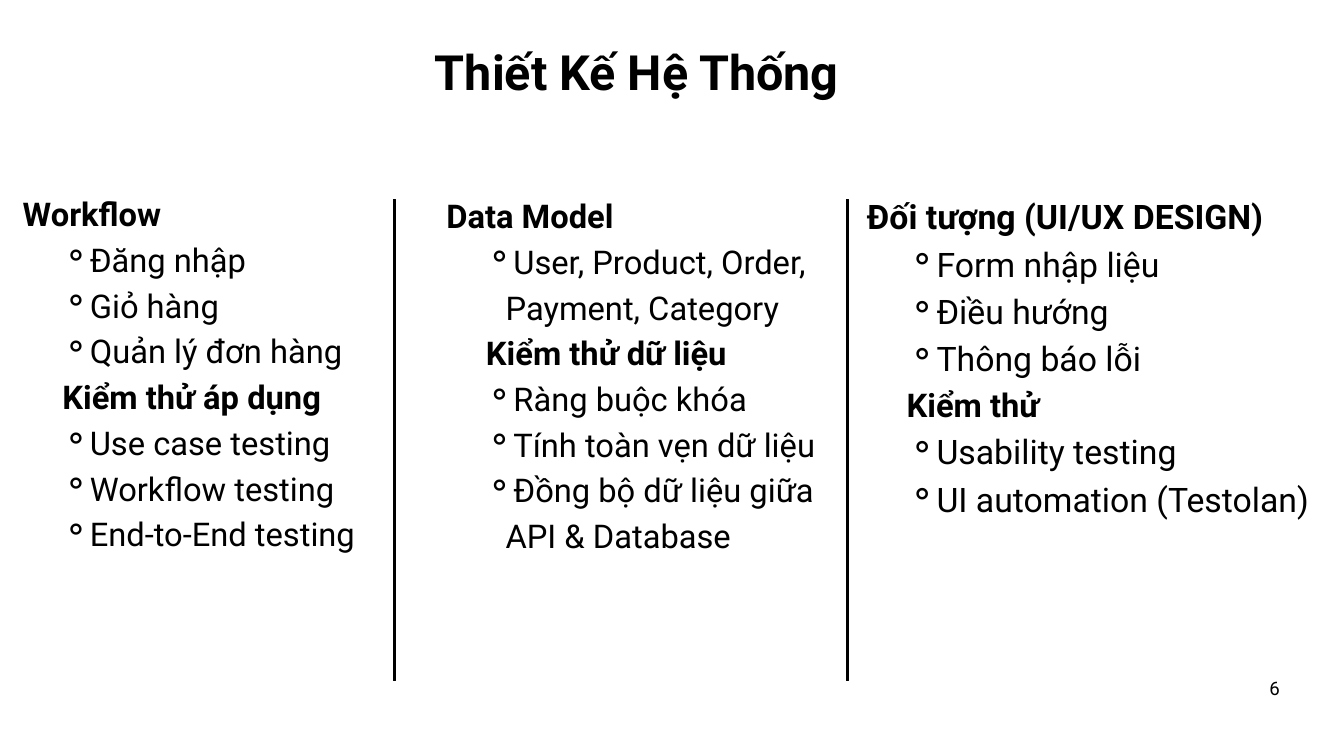
from lxml.etree import SubElement
from pptx import Presentation
from pptx.dml.color import RGBColor
from pptx.enum.shapes import MSO_SHAPE as Shape
from pptx.enum.text import PP_ALIGN as Align
from pptx.oxml.ns import qn
from pptx.util import Cm, Pt

COLORS = {"background": "FFFFFF", "ink": "000000"}
FONT = "Roboto"
LINE_RATIO = 1.4
HEADING, SUBHEADING, BULLET = "heading", "subheading", "bullet"
SUBHEADING_SIZE = 35

TITLE = ("Thiết Kế Hệ Thống", (15.93, 1.22, 16.28, 2.72), 52)
PAGE_NUMBER = ("6", (47.96, 25.45, 0.43, 0.69), 20)

COLUMNS = [
    {
        "box": (0.86, 7.09, 13.31, 13.89),
        "size": 35,
        "lines": [
            (HEADING, "Workflow"),
            (BULLET, "Đăng nhập"),
            (BULLET, "Giỏ hàng"),
            (BULLET, "Quản lý đơn hàng"),
            (SUBHEADING, "Kiểm thử áp dụng"),
            (BULLET, "Use case testing"),
            (BULLET, "Workflow testing"),
            (BULLET, "End-to-End testing"),
        ],
    },
    {
        "box": (16.87, 7.16, 14.43, 17.32),
        "size": 35,
        "lines": [
            (HEADING, "Data Model"),
            (BULLET, "User, Product, Order, Payment, Category"),
            (SUBHEADING, "Kiểm thử dữ liệu"),
            (BULLET, "Ràng buộc khóa"),
            (BULLET, "Tính toàn vẹn dữ liệu"),
            (BULLET, "Đồng bộ dữ liệu giữa API & Database"),
        ],
    },
    {
        "box": (32.77, 7.16, 18.03, 12.47),
        "size": 36.2,
        "lines": [
            (HEADING, "Đối tượng (UI/UX DESIGN)"),
            (BULLET, "Form nhập liệu"),
            (BULLET, "Điều hướng"),
            (BULLET, "Thông báo lỗi"),
            (SUBHEADING, "Kiểm thử"),
            (BULLET, "Usability testing"),
            (BULLET, "UI automation (Testolan)"),
        ],
    },
]

DIVIDER_LEFTS = (14.86, 31.98)
DIVIDER_TOP, DIVIDER_WIDTH, DIVIDER_HEIGHT = 7.54, 0.1, 18.19


def color(name):
    return RGBColor.from_string(COLORS[name])


def add_text_frame(slide, box):
    frame = slide.shapes.add_textbox(*map(Cm, box)).text_frame
    frame.margin_left = frame.margin_top = 0
    frame.margin_right = frame.margin_bottom = 0
    frame.word_wrap = True
    return frame


def style_paragraph(paragraph, text, size, bold):
    paragraph.text = text
    paragraph.line_spacing = Pt(round(size * LINE_RATIO, 1))
    font = paragraph.font
    font.name, font.size, font.bold = FONT, Pt(size), bold
    font.color.rgb = color("ink")


def indent_paragraph(paragraph, size, bulleted):
    paragraph.level = 1
    properties = paragraph._p.get_or_add_pPr()
    properties.set("marL", str(Cm(round(size * 0.064, 2))))
    properties.set("indent", str(-Cm(round(size * 0.021, 2))))
    if bulleted:
        SubElement(properties, qn("a:buChar")).set("char", "⚬")


def add_centered_line(slide, text, box, size, bold):
    paragraph = add_text_frame(slide, box).paragraphs[0]
    paragraph.alignment = Align.CENTER
    style_paragraph(paragraph, text, size, bold)


def add_column(slide, column):
    frame = add_text_frame(slide, column["box"])
    for index, (kind, text) in enumerate(column["lines"]):
        paragraph = frame.add_paragraph() if index else frame.paragraphs[0]
        size = SUBHEADING_SIZE if kind == SUBHEADING else column["size"]
        if kind != HEADING:
            indent_paragraph(paragraph, size, kind == BULLET)
        style_paragraph(paragraph, text, size, kind != BULLET)


def add_divider(slide, left):
    box = (left, DIVIDER_TOP, DIVIDER_WIDTH, DIVIDER_HEIGHT)
    divider = slide.shapes.add_shape(Shape.RECTANGLE, *map(Cm, box))
    divider.shadow.inherit = False
    divider.fill.solid()
    divider.fill.fore_color.rgb = color("ink")
    divider.line.color.rgb = color("ink")
    divider.line.width = Pt(1)


def main():
    presentation = Presentation()
    presentation.slide_width, presentation.slide_height = Cm(50.8), Cm(28.58)
    slide = presentation.slides.add_slide(presentation.slide_layouts[6])
    slide.background.fill.solid()
    slide.background.fill.fore_color.rgb = color("background")

    add_centered_line(slide, *PAGE_NUMBER, bold=False)
    add_centered_line(slide, *TITLE, bold=True)
    for column in COLUMNS:
        add_column(slide, column)
    for left in DIVIDER_LEFTS:
        add_divider(slide, left)
    presentation.save("out.pptx")


if __name__ == "__main__":
    main()
